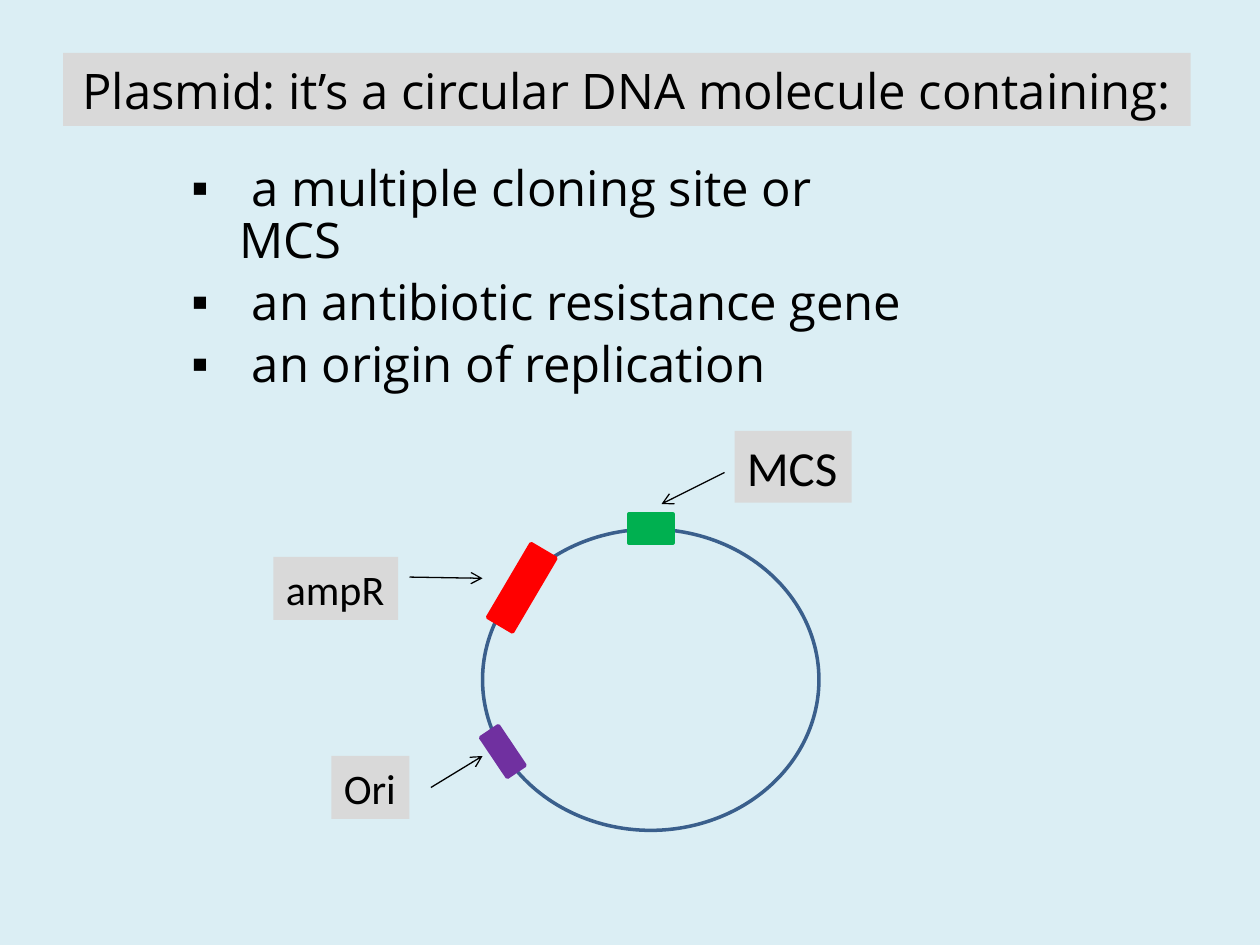
from lxml.etree import SubElement
from pptx import Presentation
from pptx.dml.color import RGBColor
from pptx.enum.shapes import MSO_CONNECTOR, MSO_SHAPE
from pptx.enum.text import MSO_ANCHOR, MSO_AUTO_SIZE, PP_ALIGN
from pptx.oxml.ns import qn
from pptx.util import Inches, Pt

COLORS = {
    "background": "DBEEF4",
    "panel": "D9D9D9",
    "text": "000000",
    "ring": "3A5F8C",
    "ori": "7030A0",
    "ampR": "FF0000",
    "MCS": "00B050",
}
CONTENTS = [
    " a multiple cloning site or MCS",
    " an antibiotic resistance gene",
    " an origin of replication",
]
GENES = [
    ("ori", (-0.03, 1.68, 0.38, 0.17), 56.1),
    ("ampR", (-0.03, 0.35, 0.68, 0.23), 120.5),
    ("MCS", (1.16, -0.12, 0.35, 0.23), 0),
]
LABELS = [
    ("MCS", 28, (2, -0.78, 0.93, 0.57), (1.92, -0.45), (1.42, -0.2)),
    ("ampR", 24, (-1.66, 0.22, 0.99, 0.5), (-0.58, 0.38), (0, 0.39)),
    ("Ori", 24, (-1.2, 1.8, 0.62, 0.5), (-0.41, 2.05), (0, 1.8)),
]


def rgb(name):
    """Return the named colour."""
    return RGBColor.from_string(COLORS[name])


def style_text(paragraph, size, font):
    """Format every run of a paragraph."""
    for run in paragraph.runs:
        run.font.size = Pt(size)
        run.font.name = font
        run.font.color.rgb = rgb("text")


def add_figure(slide, kind, box, fill=None, line=None):
    """Add a preset shape with an optional fill and outline."""
    figure = slide.shapes.add_shape(kind, *map(Inches, box))
    figure.shadow.inherit = False
    if fill:
        figure.fill.solid()
        figure.fill.fore_color.rgb = rgb(fill)
    else:
        figure.fill.background()
    if line:
        figure.line.color.rgb = rgb(line)
        figure.line.width = Pt(2)
    else:
        figure.line.fill.background()
    return figure


def add_panel(slide, text, box, size, font, align):
    """Add a grey panel holding one line of text."""
    panel = add_figure(slide, MSO_SHAPE.RECTANGLE, box, "panel")
    frame = panel.text_frame
    frame.text = text
    frame.paragraphs[0].alignment = align
    style_text(frame.paragraphs[0], size, font)
    return frame


def add_title(slide, box):
    """Add the heading panel."""
    frame = add_panel(slide, "Plasmid: it’s a circular DNA molecule containing:",
                      box, 28, "Open Sans", PP_ALIGN.CENTER)
    frame.vertical_anchor = MSO_ANCHOR.MIDDLE


def add_contents(slide, box):
    """Add the bulleted list of plasmid parts."""
    frame = slide.shapes.add_textbox(*map(Inches, box)).text_frame
    frame.word_wrap = True
    for index, text in enumerate(CONTENTS):
        paragraph = frame.add_paragraph() if index else frame.paragraphs[0]
        paragraph.text = text
        paragraph.space_before = Pt(5)
        paragraph.line_spacing = 0.9
        style_text(paragraph, 28, "Open Sans")
        properties = paragraph._p.get_or_add_pPr()
        properties.set("marL", str(Inches(0.38)))
        properties.set("indent", str(Inches(-0.38)))
        SubElement(properties, qn("a:buFont"), typeface="Arial")
        SubElement(properties, qn("a:buChar"), char="▪")


def add_arrow(slide, start, end):
    """Add a thin open-headed arrow."""
    arrow = slide.shapes.add_connector(
        MSO_CONNECTOR.STRAIGHT, *map(Inches, (*start, *end)))
    arrow.line.color.rgb = rgb("text")
    arrow.line.width = Pt(0.75)
    SubElement(arrow.line._get_or_add_ln(), qn("a:tailEnd"), type="arrow")
    SubElement(arrow._element.spPr, qn("a:effectLst"))


def add_plasmid(slide, box):
    """Add the ring with its genes, labels and arrows."""
    left, top = box[:2]

    def place(x, y, *size):
        """Shift a position into the ring's box."""
        return (left + x, top + y, *size)

    add_figure(slide, MSO_SHAPE.OVAL, box, line="ring")
    for color, gene_box, angle in GENES:
        gene = add_figure(slide, MSO_SHAPE.RECTANGLE, place(*gene_box), color, color)
        gene.rotation = angle
    for name, size, label_box, start, end in LABELS:
        frame = add_panel(slide, name, place(*label_box), size, "Calibri", PP_ALIGN.LEFT)
        frame.vertical_anchor = MSO_ANCHOR.TOP
        frame.word_wrap = False
        frame.auto_size = MSO_AUTO_SIZE.SHAPE_TO_FIT_TEXT
        add_arrow(slide, place(*start), place(*end))


def main():
    """Build and save the slide."""
    deck = Presentation()
    deck.slide_width, deck.slide_height = Inches(10), Inches(7.5)
    slide = deck.slides.add_slide(deck.slide_layouts[6])
    slide.background.fill.solid()
    slide.background.fill.fore_color.rgb = rgb("background")
    add_title(slide, (0.5, 0.42, 8.95, 0.58))
    add_contents(slide, (1.42, 1.25, 6, 1.67))
    add_plasmid(slide, (3.83, 4.2, 2.67, 2.39))
    deck.save("out.pptx")


main()
